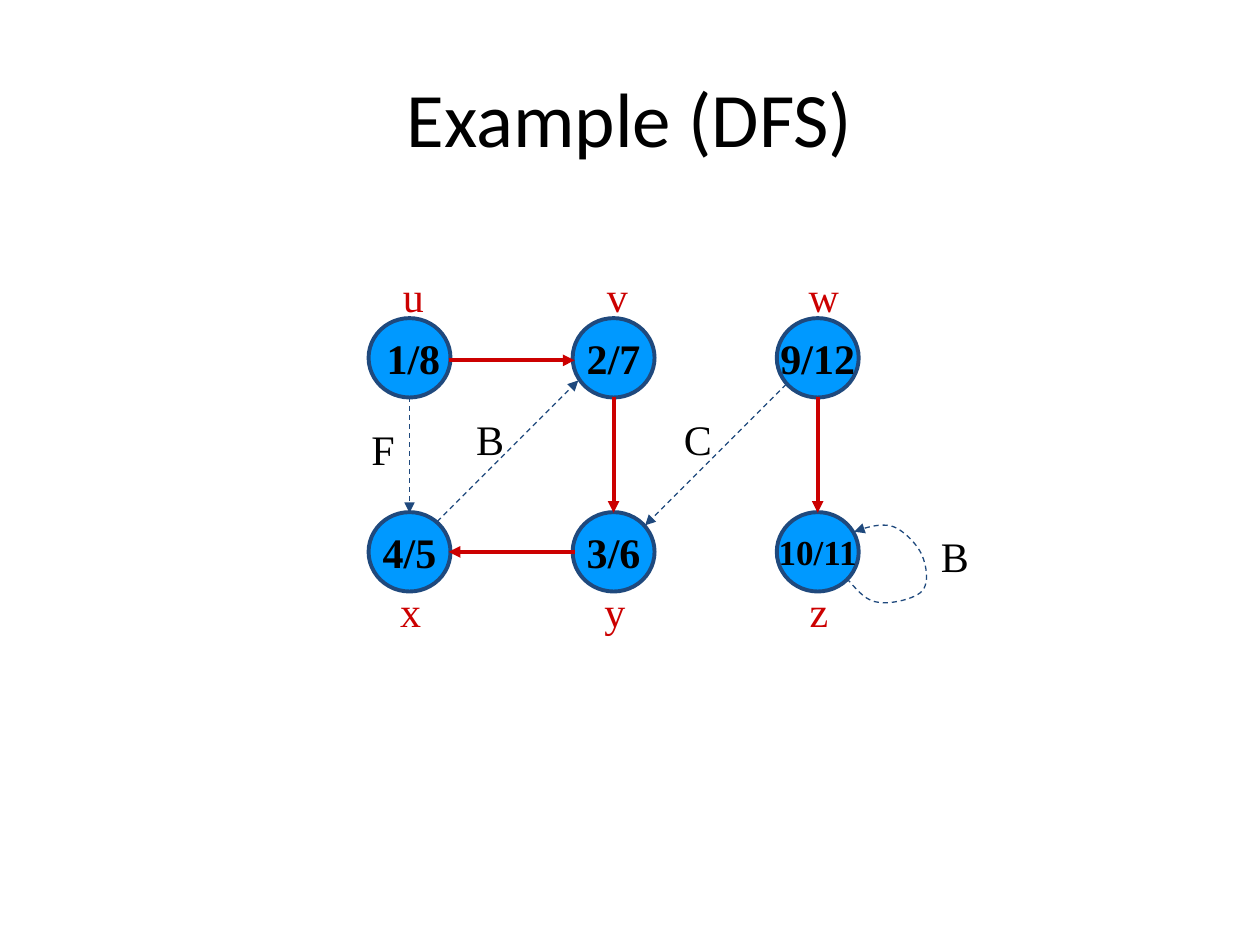
from lxml.etree import SubElement
from pptx import Presentation
from pptx.dml.color import RGBColor
from pptx.enum.dml import MSO_LINE
from pptx.enum.shapes import MSO_CONNECTOR, MSO_SHAPE
from pptx.enum.text import MSO_ANCHOR, PP_ALIGN
from pptx.oxml.ns import qn
from pptx.util import Inches, Pt

RED, NAVY, BLUE, BLACK = "CC0000", "1F497D", "0099FF", "000000"
rgb = RGBColor.from_string

prs = Presentation()
prs.slide_width, prs.slide_height = Inches(10), Inches(7.5)
s = prs.slides.add_slide(prs.slide_layouts[6])


def write(sp, text, size=24, color=BLACK, name="Times New Roman", bold=False):
    tf = sp.text_frame
    tf.word_wrap = False
    tf.vertical_anchor = MSO_ANCHOR.MIDDLE
    p = tf.paragraphs[0]
    p.alignment = PP_ALIGN.CENTER
    r = p.add_run()
    r.text = text
    for key, value in {"size": Pt(size), "name": name, "bold": bold}.items():
        setattr(r.font, key, value)
    r.font.color.rgb = rgb(color)


def draw_arrow(sp, dashed):
    sp.line.color.rgb = rgb(NAVY if dashed else RED)
    sp.line.width = Pt(0.75 if dashed else 2.25)
    if dashed:
        sp.line.dash_style = MSO_LINE.DASH
    spPr = sp._element.spPr
    SubElement(spPr.find(qn("a:ln")), qn("a:tailEnd"), type="triangle")
    if spPr.find(qn("a:effectLst")) is None:
        SubElement(spPr, qn("a:effectLst"))


sp = s.shapes.add_textbox(Inches(0.5), Inches(0.3), Inches(9), Inches(1.25))
write(sp, "Example (DFS)", size=44, name="Calibri")

left, top, col, row = 3.25, 2.84, 1.62, 1.54
node_w, node_h = 0.65, 0.63
nodes = {
    "u": (0, 0, "1/8", 24), "v": (1, 0, "2/7", 24), "w": (2, 0, "9/12", 24),
    "x": (0, 1, "4/5", 24), "y": (1, 1, "3/6", 24), "z": (2, 1, "10/11", 20),
}
center = {}
labels = [("B", 3.88, 3.48, BLACK), ("F", 3.04, 3.56, BLACK),
          ("C", 5.53, 3.48, BLACK), ("B", 7.57, 4.41, BLACK)]

for name, (c, r, times, size) in nodes.items():
    x, y = center[name] = left + c * col, top + r * row
    sp = s.shapes.add_shape(MSO_SHAPE.OVAL, Inches(x - node_w / 2), Inches(y - node_h / 2),
                            Inches(node_w), Inches(node_h))
    sp.shadow.inherit = False
    sp.fill.solid()
    sp.fill.fore_color.rgb = rgb(BLUE)
    sp.line.color.rgb = rgb(NAVY)
    sp.line.width = Pt(2.25)
    write(sp, times, size=size, bold=True)
    if name == "u":
        sp.text_frame.margin_left = Inches(0.16)
    labels.append((name, x + (0.01 if r else 0.03), y + (0.47 if r else -0.49), RED))

edges = [
    ("u", "v", False, 0, 0.02), ("v", "y", False, 0, 0), ("y", "x", False, 0, 0),
    ("w", "z", False, 0, 0), ("u", "x", True, 0, 0),
    ("x", "v", True, -0.03, -0.03), ("w", "y", True, 0, 0),
]
for start, end, dashed, shift_x, shift_y in edges:
    (x1, y1), (x2, y2) = center[start], center[end]
    dx, dy = (x2 > x1) - (x2 < x1), (y2 > y1) - (y2 < y1)
    reach_x, reach_y = (0.25, 0.21) if dx and dy else (0.31, 0.31)
    sp = s.shapes.add_connector(
        MSO_CONNECTOR.STRAIGHT,
        Inches(x1 + dx * reach_x + shift_x), Inches(y1 + dy * reach_y + shift_y),
        Inches(x2 - dx * reach_x + shift_x), Inches(y2 - dy * reach_y + shift_y))
    draw_arrow(sp, dashed)

loop = [(6.72, 4.59),
        (6.8, 4.68), (6.87, 4.77), (6.97, 4.78),
        (7.07, 4.8), (7.27, 4.75), (7.32, 4.69),
        (7.38, 4.62), (7.35, 4.47), (7.31, 4.39),
        (7.27, 4.31), (7.17, 4.21), (7.09, 4.18),
        (7, 4.15), (6.89, 4.18), (6.78, 4.22)]
steps = 12
curve = [[Inches(v) for v in loop[0]]]
for i in range(0, len(loop) - 1, 3):
    for k in range(1, steps + 1):
        t = k / steps
        weights = (1 - t) ** 3, 3 * t * (1 - t) ** 2, 3 * t ** 2 * (1 - t), t ** 3
        curve.append([Inches(sum(w * pt[axis] for w, pt in zip(weights, loop[i:i + 4])))
                      for axis in (0, 1)])
fb = s.shapes.build_freeform(*curve[0])
fb.add_line_segments(curve[1:], close=False)
sp = fb.convert_to_shape()
sp.shadow.inherit = False
sp.fill.background()
draw_arrow(sp, True)

label_w, label_h = 0.4, 0.5
for text, x, y, color in labels:
    sp = s.shapes.add_textbox(Inches(x - label_w / 2), Inches(y - label_h / 2),
                              Inches(label_w), Inches(label_h))
    write(sp, text, color=color)

prs.save("out.pptx")
